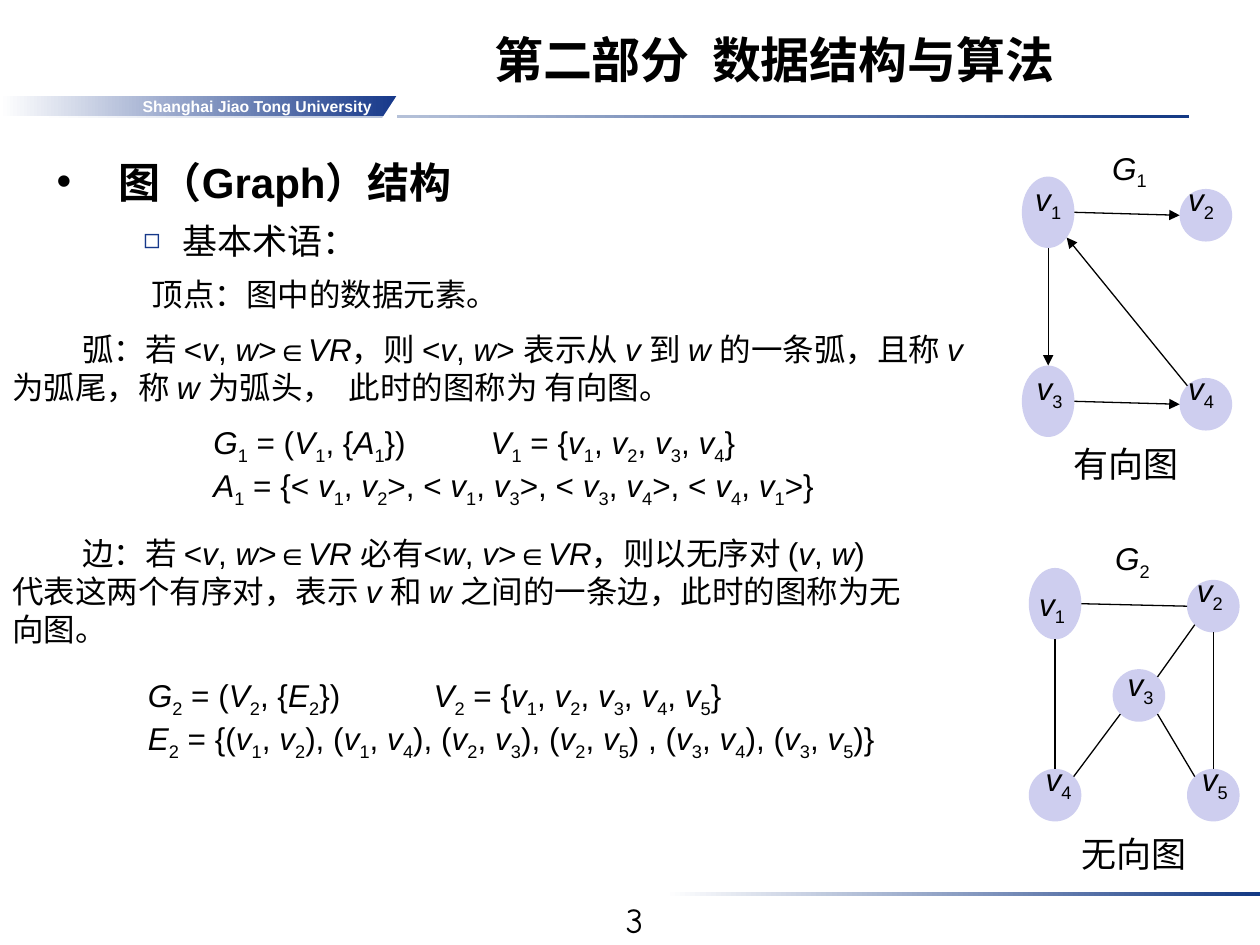
from itertools import groupby
from math import cos, radians, sin

from lxml.etree import SubElement
from pptx import Presentation
from pptx.dml.color import RGBColor
from pptx.enum.shapes import MSO_CONNECTOR, MSO_SHAPE
from pptx.enum.text import MSO_ANCHOR, PP_ALIGN
from pptx.oxml.ns import qn
from pptx.util import Cm, Pt

COLORS = {"ink": "000000", "paper": "FFFFFF", "rule": "133984",
          "banner": "16388A", "vertex": "CECEEF"}
INDENT = 1.41
INSET = 0.25
ROUND, TALL = (1.06, 1.06), (1.06, 1.44)

DIRECTED = {
    "name": ("G1", 22.17, 2.87),
    "caption": ("有向图", 21.39, 8.79),
    "vertices": {
        "v1": (21.13, 4.28, TALL, 20.62, 3.51),
        "v2": (24.31, 4.34, ROUND, 23.7, 3.51),
        "v3": (21.13, 8.09, TALL, 20.65, 7.32),
        "v4": (24.31, 8.15, ROUND, 23.7, 7.32),
    },
    "edges": [("v1", 0, "v2", 180), ("v1", 90, "v3", 270),
              ("v3", 0, "v4", 180), ("v4", 225, "v1", 45)],
    "arrows": True,
}
UNDIRECTED = {
    "name": ("G2", 22.23, 10.74),
    "caption": ("无向图", 21.56, 16.66),
    "vertices": {
        "v1": (21.27, 12.17, TALL, 20.7, 11.66),
        "v2": (24.46, 12.22, ROUND, 23.88, 11.38),
        "v3": (22.96, 14.02, ROUND, 22.48, 13.28),
        "v4": (21.27, 16.03, ROUND, 20.83, 15.19),
        "v5": (24.46, 16.03, ROUND, 23.98, 15.19),
    },
    "edges": [("v1", 0, "v2", 180), ("v1", 90, "v4", 270),
              ("v4", 315, "v3", 135), ("v3", 315, "v2", 135),
              ("v5", 270, "v2", 90), ("v5", 225, "v3", 45)],
    "arrows": False,
}
ARC = ("弧：若 <v, w>∈VR，则 <v, w> 表示从 v 到 w 的一条弧，且称 v 为弧尾，"
       "称 w 为弧头，  此时的图称为 有向图。")
EDGE = ("边：若 <v, w>∈VR 必有<w, v>∈VR，则以无序对 (v, w) 代表这两个有序对，"
        "表示 v 和 w 之间的一条边，此时的图称为无向图。")
DIRECTED_SETS = ["G1 = (V1, {A1})\tV1 = {v1, v2, v3, v4}",
                 "A1 = {< v1, v2>, < v1, v3>, < v3, v4>, < v4, v1>}"]
UNDIRECTED_SETS = ["G2 = (V2, {E2})\tV2 = {v1, v2, v3, v4, v5}",
                   "E2 = {(v1, v2), (v1, v4), (v2, v3), (v2, v5) , (v3, v4), (v3, v5)}"]


def rgb(key):
    return RGBColor.from_string(COLORS[key])


def set_all(target, values):
    for key, value in values.items():
        setattr(target, key, value)


def place(item, left, top, width, height):
    set_all(item, {"left": Cm(left), "top": Cm(top),
                   "width": Cm(width), "height": Cm(height)})


def add_run(paragraph, words, color="ink", **font):
    run = paragraph.add_run()
    run.text = words
    set_all(run.font, {"name": "Arial", "size": Pt(18), **font})
    run.font.color.rgb = rgb(color)
    return run


def notation_kind(char):
    if char.isascii() and char.isalpha():
        return "symbol"
    return "index" if char.isdigit() else "plain"


def add_notation(paragraph, words):
    for kind, chars in groupby(words, notation_kind):
        run = add_run(paragraph, "".join(chars), italic=kind == "symbol")
        if kind == "index":
            run.font._element.set("baseline", "-25000")


def add_box(slide, left, top, width, height, inset=INSET):
    frame = slide.shapes.add_textbox(Cm(left), Cm(top), Cm(width), Cm(height)).text_frame
    set_all(frame, {"word_wrap": True, "margin_left": Cm(inset)})
    return frame


def add_statement(slide, words, *box):
    paragraph = add_box(slide, *box).paragraphs[0]
    paragraph._p.get_or_add_pPr().set("indent", str(Cm(INDENT)))
    add_notation(paragraph, words)


def add_sets(slide, lines, tab, *box):
    frame = add_box(slide, *box, inset=INSET + INDENT)
    for number, line in enumerate(lines):
        paragraph = frame.add_paragraph() if number else frame.paragraphs[0]
        tabs = SubElement(paragraph._p.get_or_add_pPr(), qn("a:tabLst"))
        SubElement(tabs, qn("a:tab"), pos=str(Cm(tab)), algn="l")
        add_notation(paragraph, line)


def add_bullet(paragraph, words, mark, color, percent, margin, hanging, before, **font):
    set_all(paragraph, {"line_spacing": 1.1, "space_before": Pt(before)})
    props = paragraph._p.get_or_add_pPr()
    props.set("marL", str(Cm(margin)))
    props.set("indent", str(-Cm(hanging)))
    SubElement(SubElement(props, qn("a:buClr")), qn("a:srgbClr"), val=COLORS[color])
    SubElement(props, qn("a:buSzPct"), val=str(percent * 1000))
    SubElement(props, qn("a:buFont"), typeface="Arial")
    SubElement(props, qn("a:buChar"), char=mark)
    add_run(paragraph, words, **font)


def add_filled(slide, preset, color, left, top, width, height, fade=False):
    shape = slide.shapes.add_shape(preset, Cm(left), Cm(top), Cm(width), Cm(height))
    shape.shadow.inherit = False
    shape.line.fill.background()
    if fade:
        shape.fill.gradient()
        shape.fill.gradient_angle = 0
        for stop, key, position in zip(shape.fill.gradient_stops, ("paper", color), (0, 1)):
            stop.color.rgb = rgb(key)
            stop.position = position
    else:
        shape.fill.solid()
        shape.fill.fore_color.rgb = rgb(color)
    return shape


def rim_point(vertex, degrees):
    x, y, (width, height) = vertex[:3]
    angle = radians(degrees)
    return Cm(x + width / 2 * cos(angle)), Cm(y + height / 2 * sin(angle))


def add_edge(slide, start, end, arrow):
    edge = slide.shapes.add_connector(MSO_CONNECTOR.STRAIGHT, *start, *end)
    edge.line.width = Pt(0.75)
    edge.line.color.rgb = rgb("ink")
    if arrow:
        SubElement(edge.line._get_or_add_ln(), qn("a:tailEnd"), type="triangle")
    SubElement(edge._element.spPr, qn("a:effectLst"))


def add_graph(slide, graph):
    vertices = graph["vertices"]
    for label, (x, y, (width, height), label_x, label_y) in vertices.items():
        add_filled(slide, MSO_SHAPE.OVAL, "vertex",
                   x - width / 2, y - height / 2, width, height)
        add_notation(add_box(slide, label_x, label_y, 1.32, 1.12).paragraphs[0], label)
    for source, leave, target, arrive in graph["edges"]:
        add_edge(slide, rim_point(vertices[source], leave),
                 rim_point(vertices[target], arrive), graph["arrows"])
    name, x, y = graph["name"]
    add_notation(add_box(slide, x, y, 1.3, 1.12).paragraphs[0], name)
    caption, x, y = graph["caption"]
    add_run(add_box(slide, x, y, 2.77, 1.12).paragraphs[0], caption, size=Pt(20))


def add_banner(slide):
    add_filled(slide, MSO_SHAPE.RECTANGLE, "rule", 0.79, 2.31, 23.19, 0.08, fade=True)
    add_filled(slide, MSO_SHAPE.RECTANGLE, "rule", 13.41, 17.98, 11.99, 0.08, fade=True)
    banner = add_filled(slide, MSO_SHAPE.RECTANGLE, "banner", 0, 1.93, 8, 0.41, fade=True)
    set_all(banner.text_frame, {"word_wrap": False, "margin_right": Cm(0.51),
                                "vertical_anchor": MSO_ANCHOR.MIDDLE})
    school = banner.text_frame.paragraphs[0]
    school.alignment = PP_ALIGN.RIGHT
    add_run(school, "Shanghai Jiao Tong University", "paper", size=Pt(9), bold=True)
    corner = add_filled(slide, MSO_SHAPE.RIGHT_TRIANGLE, "paper", 7.7, 1.93, 0.3, 0.46)
    corner._element.spPr.xfrm.set("flipH", "1")


def add_heading(slide):
    title = slide.shapes.title
    place(title, 6.58, 0, 18.06, 1.9)
    title.text_frame.vertical_anchor = MSO_ANCHOR.BOTTOM
    heading = title.text_frame.paragraphs[0]
    heading.alignment = PP_ALIGN.CENTER
    add_run(heading, "第二部分  数据结构与算法", size=Pt(28), bold=True)


def add_outline(slide):
    outline = add_box(slide, 0.89, 2.92, 23.5, 10.97)
    add_bullet(outline.paragraphs[0], "图（Graph）结构", "•", "ink", 100,
               1.24, 1.24, 0, size=Pt(24), bold=True)
    add_bullet(outline.add_paragraph(), "基本术语：", "◻", "banner", 80,
               2.54, 0.79, 5, size=Pt(20))


def main():
    deck = Presentation()
    set_all(deck, {"slide_width": Cm(25.4), "slide_height": Cm(19.05)})
    slide = deck.slides.add_slide(deck.slide_layouts[5])
    add_banner(slide)
    add_heading(slide)
    add_outline(slide)
    term = add_box(slide, 1.4, 5.41, 8.94, 1.02, inset=INSET + INDENT)
    add_run(term.paragraphs[0], "顶点：图中的数据元素。")
    add_graph(slide, DIRECTED)
    add_graph(slide, UNDIRECTED)
    add_statement(slide, ARC, 0, 6.53, 19.96, 1.78)
    add_sets(slide, DIRECTED_SETS, 5.59, 2.64, 8.41, 14.12, 1.98)
    add_statement(slide, EDGE, 0, 10.64, 18.44, 2.54)
    add_sets(slide, UNDIRECTED_SETS, 5.76, 1.32, 13.51, 17.22, 1.98)
    page = add_box(slide, 9.83, 17.98, 5.92, 0.74).paragraphs[0]
    page.alignment = PP_ALIGN.CENTER
    add_run(page, "3", name="Comic Neue", size=Pt(20))
    deck.save("out.pptx")


if __name__ == "__main__":
    main()
